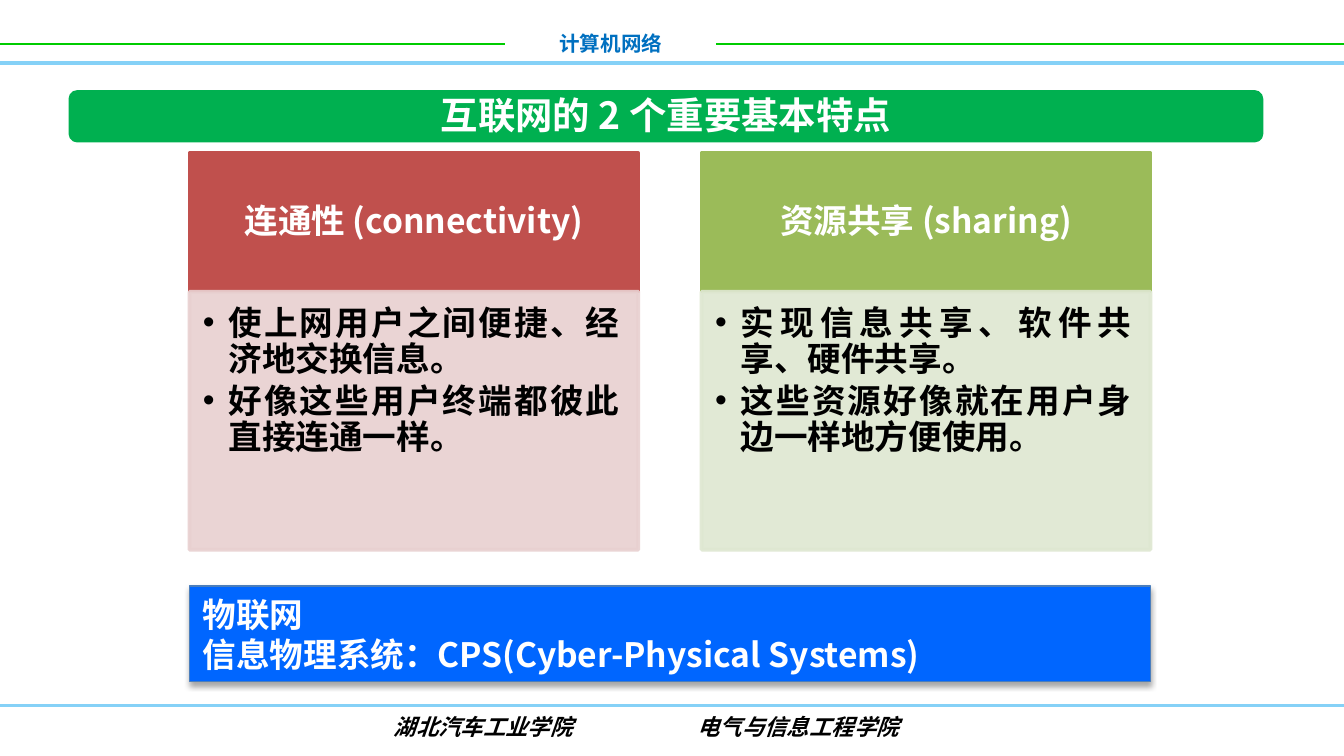
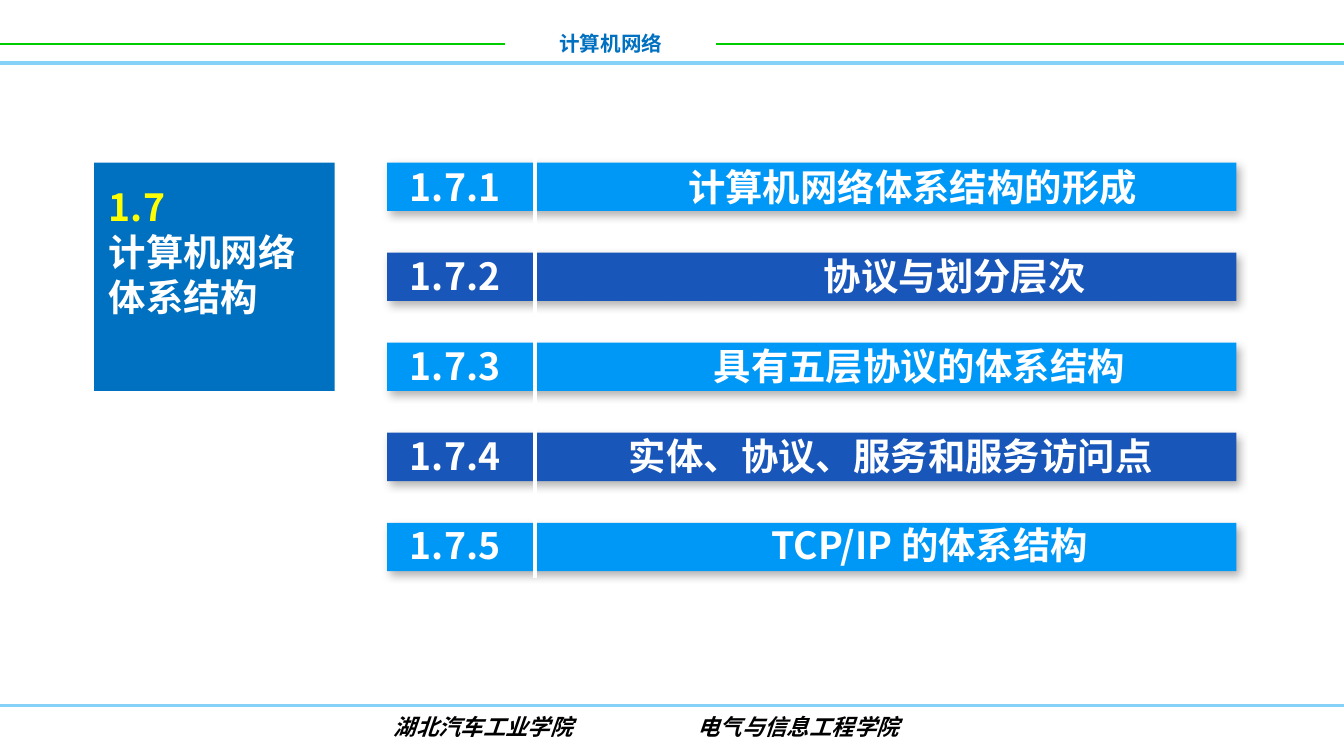
from dataclasses import dataclass, replace
from typing import NamedTuple, Optional

import pptx
import pptx.dml.color
import pptx.enum.shapes
import pptx.enum.text
import pptx.oxml
import pptx.oxml.ns
import pptx.util
from lxml import etree

PX = 9144
ALIGN = pptx.enum.text.PP_ALIGN
ANCHOR = pptx.enum.text.MSO_ANCHOR
SHAPE = pptx.enum.shapes.MSO_SHAPE
qn = pptx.oxml.ns.qn


@dataclass(frozen=True)
class Theme:
    font: str = "Noto Sans CJK SC"
    footer_font: str = "Arial"
    white: str = "FFFFFF"
    black: str = "000000"
    green_rule: str = "00CC00"
    blue_rule: str = "85D1F7"
    course: str = "0070C0"
    banner: str = "00B050"
    systems: str = "0066FF"
    systems_edge: str = "4B7EBC"
    connectivity: str = "C0504D"
    connectivity_tint: str = "E8D0D0"
    sharing: str = "9BBB59"
    sharing_tint: str = "DEE7D1"
    bright_bar: str = "0098F6"
    dark_bar: str = "1956B9"
    chapter_number: str = "FFFF00"
    course_size: float = 11
    footer_size: float = 12
    body_size: float = 18
    title_size: float = 20


THEME = Theme()


class Box(NamedTuple):
    left: int
    top: int
    width: int
    height: int


class Insets(NamedTuple):
    left: int = 10
    top: int = 5
    right: int = 10
    bottom: int = 5


class Shadow(NamedTuple):
    alpha: int
    blur: float
    distance: float
    angle: int


class Rule(NamedTuple):
    start: int
    end: int
    y: int
    color: str
    weight: float


class Feature(NamedTuple):
    heading: str
    points: list[str]
    left: int
    color: str
    tint: str


class Section(NamedTuple):
    number: str
    topic: str
    topic_left: int


@dataclass(frozen=True)
class TextStyle:
    size: float
    color: str
    align: ALIGN = ALIGN.LEFT
    anchor: ANCHOR = ANCHOR.TOP
    font: str = THEME.font
    italic: bool = False
    insets: Insets = Insets()
    line: Optional[float] = None
    before: float = 0
    after: float = 0
    bullet: str = ""
    hang: int = 0


RULES = [
    Rule(0, 376, 33, THEME.green_rule, 1),
    Rule(533, 1000, 33, THEME.green_rule, 1),
    Rule(0, 1000, 525, THEME.blue_rule, 1.5),
    Rule(0, 1000, 47, THEME.blue_rule, 2),
]
FEATURES = [
    Feature("连通性 (connectivity)",
            ["使上网用户之间便捷、经济地交换信息。", "好像这些用户终端都彼此直接连通一样。"],
            141, THEME.connectivity, THEME.connectivity_tint),
    Feature("资源共享 (sharing)",
            ["实现信息共享、软件共享、硬件共享。", "这些资源好像就在用户身边一样地方便使用。"],
            522, THEME.sharing, THEME.sharing_tint),
]
SECTIONS = [
    Section("1.7.1", "计算机网络体系结构的形成", 512),
    Section("1.7.2", "协议与划分层次", 613),
    Section("1.7.3", "具有五层协议的体系结构", 531),
    Section("1.7.4", "实体、协议、服务和服务访问点", 468),
    Section("1.7.5", "TCP/IP 的体系结构", 574),
]


def rgb(color: str) -> pptx.dml.color.RGBColor:
    return pptx.dml.color.RGBColor.from_string(color)


def place(shape, box: Box) -> None:
    shape.left, shape.top, shape.width, shape.height = (n * PX for n in box)


def paint(shape, fill: str, edge: Optional[str] = None, weight: float = 0,
          alpha: Optional[int] = None) -> None:
    shape.fill.solid()
    shape.fill.fore_color.rgb = rgb(fill)
    if edge:
        shape.line.color.rgb = rgb(edge)
        shape.line.width = pptx.util.Pt(weight)
    else:
        shape.line.fill.background()
    if alpha is not None:
        for color in shape.element.spPr.iter(qn("a:srgbClr")):
            etree.SubElement(color, qn("a:alpha"), val=str(alpha * 1000))


def cast_shadow(shape, shadow: Shadow) -> None:
    effects = shape.element.spPr.find(qn("a:effectLst"))
    outer = etree.SubElement(
        effects, qn("a:outerShdw"), blurRad=str(pptx.util.Pt(shadow.blur)),
        dist=str(pptx.util.Pt(shadow.distance)), dir=str(shadow.angle * 60000),
        algn="ctr", rotWithShape="0")
    color = etree.SubElement(outer, qn("a:srgbClr"), val=THEME.black)
    etree.SubElement(color, qn("a:alpha"), val=str(shadow.alpha * 1000))


def add_block(slide, box: Box, fill: str, kind: SHAPE = SHAPE.RECTANGLE,
              edge: Optional[str] = None, weight: float = 0,
              shadow: Optional[Shadow] = None):
    block = slide.shapes.add_shape(kind, *(n * PX for n in box))
    block.shadow.inherit = False
    paint(block, fill, edge, weight)
    if shadow:
        cast_shadow(block, shadow)
    return block


def add_line(slide, start: tuple[int, int], end: tuple[int, int], color: str,
             weight: float) -> None:
    line = slide.shapes.add_connector(
        pptx.enum.shapes.MSO_CONNECTOR.STRAIGHT, *(n * PX for n in start + end))
    line.line.color.rgb = rgb(color)
    line.line.width = pptx.util.Pt(weight)
    etree.SubElement(line.element.spPr, qn("a:effectLst"))


def format_paragraph(paragraph, style: TextStyle, hang: int) -> None:
    properties = paragraph._p.get_or_add_pPr()
    properties.set("marL", str(hang * PX))
    properties.set("indent", str(-hang * PX))
    properties.set("hangingPunct", "0")
    if style.bullet:
        etree.SubElement(properties, qn("a:buFont"), typeface=THEME.footer_font)
        etree.SubElement(properties, qn("a:buChar"), char=style.bullet)
    else:
        etree.SubElement(properties, qn("a:buNone"))
    paragraph.alignment = style.align
    paragraph.space_after = pptx.util.Pt(style.after)
    if style.line:
        paragraph.line_spacing = pptx.util.Pt(style.line)
    for run in paragraph.runs:
        font = run.font
        font.name, font.size = style.font, pptx.util.Pt(style.size)
        font.bold, font.italic = True, style.italic
        font.color.rgb = rgb(style.color)
        latin = run._r.rPr.find(qn("a:latin"))
        latin.addnext(etree.Element(qn("a:ea"), typeface=THEME.font))


def write(shape, lines: list[str], style: TextStyle,
          hangs: Optional[list[int]] = None) -> None:
    frame = shape.text_frame
    frame.auto_size = pptx.enum.text.MSO_AUTO_SIZE.NONE
    frame.word_wrap = True
    frame.vertical_anchor = style.anchor
    (frame.margin_left, frame.margin_top, frame.margin_right,
     frame.margin_bottom) = (n * PX for n in style.insets)
    frame.text = "\n".join(lines)
    for index, paragraph in enumerate(frame.paragraphs):
        format_paragraph(paragraph, style, hangs[index] if hangs else style.hang)
        paragraph.space_before = pptx.util.Pt(style.before if index else 0)


def fill_placeholder(placeholder, box: Box, lines: list[str], style: TextStyle,
                     hangs: Optional[list[int]] = None) -> None:
    place(placeholder, box)
    write(placeholder, lines, style, hangs)
    placeholder.element.getparent().append(placeholder.element)


def add_text(slide, box: Box, line: str, style: TextStyle) -> None:
    write(slide.shapes.add_textbox(*(n * PX for n in box)), [line], style)


def start_slide(deck, layout: int):
    slide = deck.slides.add_slide(deck.slide_layouts[layout])
    for rule in RULES:
        add_line(slide, (rule.start, rule.y), (rule.end, rule.y), rule.color, rule.weight)
    add_text(slide, Box(376, 18, 157, 29), "计算机网络",
             TextStyle(THEME.course_size, THEME.course, ALIGN.CENTER, ANCHOR.MIDDLE))
    add_text(slide, Box(102, 526, 756, 30), "湖北汽车工业学院\t电气与信息工程学院",
             TextStyle(THEME.footer_size, THEME.black, anchor=ANCHOR.MIDDLE,
                       font=THEME.footer_font, italic=True,
                       insets=Insets(191, 0, 10, 0), hang=226))
    return slide


def build_features(deck) -> None:
    slide = start_slide(deck, 4)
    add_block(slide, Box(51, 67, 889, 39), THEME.banner, SHAPE.ROUNDED_RECTANGLE)
    fill_placeholder(slide.shapes.title, Box(314, 63, 363, 44), ["互联网的 2 个重要基本特点"],
                     TextStyle(THEME.title_size, THEME.white, ALIGN.CENTER,
                               ANCHOR.MIDDLE, insets=Insets(0, 5, 0, 5)))
    heading_style = TextStyle(THEME.body_size, THEME.white, ALIGN.CENTER, ANCHOR.MIDDLE,
                              insets=Insets(14, 8, 14, 11))
    point_style = TextStyle(THEME.body_size, THEME.black, ALIGN.JUSTIFY,
                            insets=Insets(10, 11, 14, 16), line=19.3, after=3,
                            bullet="•", hang=19)
    bodies = list(slide.placeholders)[1:]
    for feature, heading, points in zip(FEATURES, bodies[::2], bodies[1::2]):
        fill_placeholder(heading, Box(feature.left, 114, 334, 103),
                         [feature.heading], heading_style)
        paint(heading, feature.color, feature.color, 2)
        fill_placeholder(points, Box(feature.left, 217, 334, 192),
                         feature.points, point_style)
        paint(points, feature.tint, feature.tint, 2, alpha=90)
    systems = add_block(slide, Box(141, 436, 715, 71), THEME.systems,
                        edge=THEME.systems_edge, weight=0.75,
                        shadow=Shadow(35, 3.1, 1.8, 90))
    write(systems, ["物联网", "信息物理系统：CPS(Cyber-Physical Systems)"],
          TextStyle(THEME.body_size, THEME.white, ALIGN.JUSTIFY,
                    insets=Insets(top=6), line=21.4))


def build_chapter(deck) -> None:
    slide = start_slide(deck, 1)
    for index in range(len(SECTIONS)):
        add_block(slide, Box(288, 121 + 67 * index, 632, 36),
                  THEME.dark_bar if index % 2 else THEME.bright_bar,
                  shadow=Shadow(30, 4.5, 2.6, 53))
    add_line(slide, (398, 113), (398, 430), THEME.white, 2.25)
    list_box = Box(295, 117, 598, 313)
    style = TextStyle(THEME.title_size, THEME.white, line=24)
    text_left = list_box.left + style.insets.left
    fill_placeholder(slide.placeholders[1], list_box,
                     [f"{section.number}\t{section.topic}" for section in SECTIONS],
                     replace(style, before=24),
                     [section.topic_left - text_left for section in SECTIONS])
    add_block(slide, Box(70, 121, 179, 170), THEME.course)
    title = slide.shapes.title
    fill_placeholder(title, Box(71, 132, 178, 111), ["1.7", "计算机网络体系结构"], style)
    number = title.text_frame.paragraphs[0].runs[0]
    number.font.color.rgb = rgb(THEME.chapter_number)


def main() -> None:
    deck = pptx.Presentation()
    deck.slide_width = 1000 * PX
    deck.slide_height = deck.slide_width * 9 // 16
    build_features(deck)
    build_chapter(deck)
    deck.save("out.pptx")


if __name__ == "__main__":
    main()
